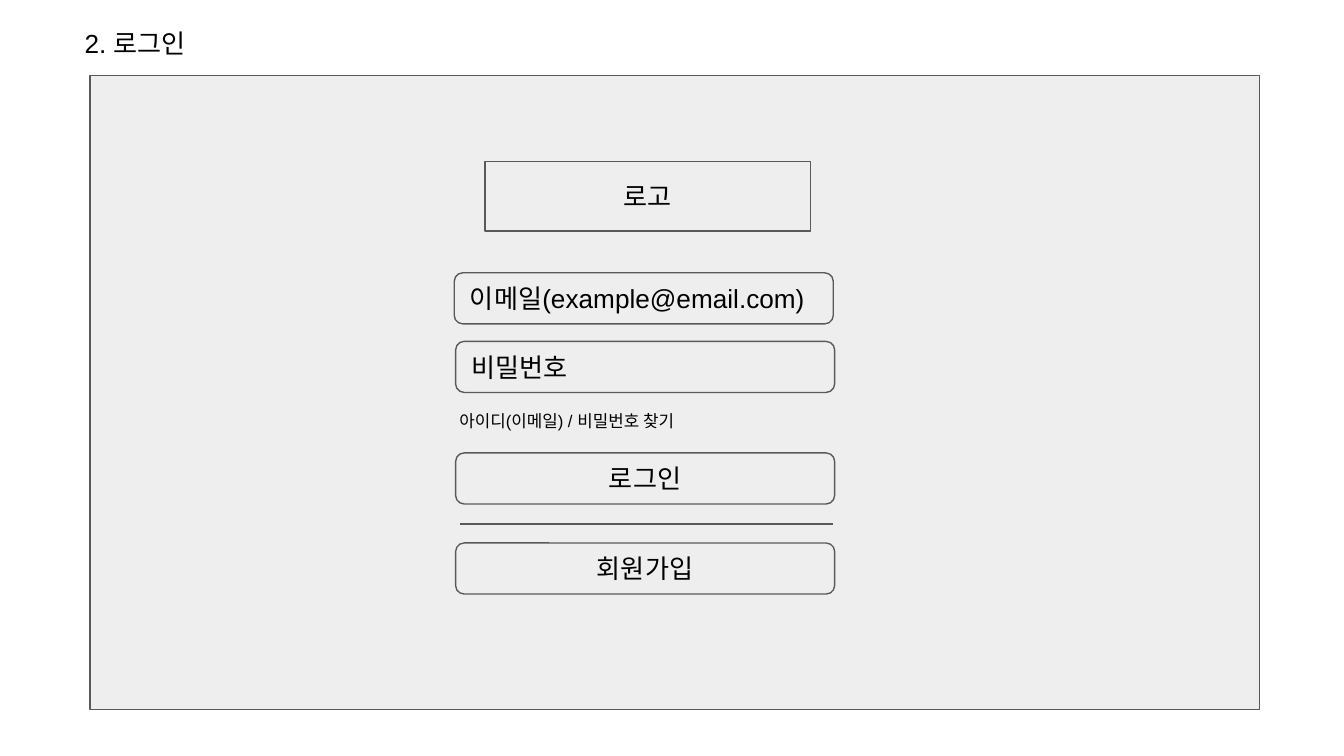
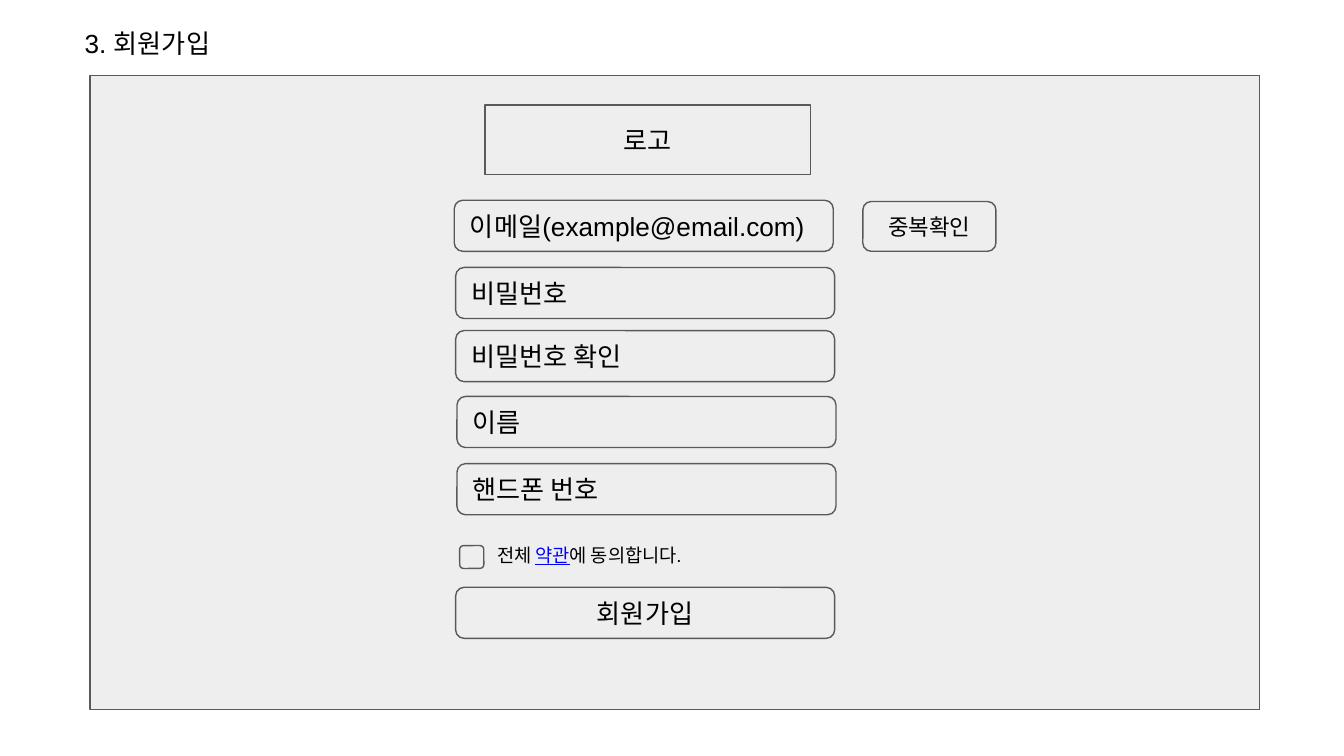
from lxml import etree
from pptx import Presentation
from pptx.dml.color import RGBColor
from pptx.enum.shapes import MSO_CONNECTOR, MSO_SHAPE
from pptx.enum.text import MSO_ANCHOR, MSO_AUTO_SIZE, PP_ALIGN
from pptx.oxml.ns import qn
from pptx.util import Inches, Pt

RECT = MSO_SHAPE.RECTANGLE
ROUND = MSO_SHAPE.ROUNDED_RECTANGLE
STRAIGHT = MSO_CONNECTOR.STRAIGHT
LEFT, CENTER = PP_ALIGN.LEFT, PP_ALIGN.CENTER
TOP, MIDDLE = MSO_ANCHOR.TOP, MSO_ANCHOR.MIDDLE
FIXED, GROW = MSO_AUTO_SIZE.NONE, MSO_AUTO_SIZE.SHAPE_TO_FIT_TEXT

COLORS = {"panel": "EEEEEE", "line": "595959", "text": "000000", "link": "0000FF"}
FONT = "Arial"
FIELD_X, FIELD_W, FIELD_H = 3.39, 2.82, 0.38
EMAIL = "이메일(example@email.com)"


def color(name):
    return RGBColor.from_string(COLORS[name])


def write(shape, *parts, size=14, align=LEFT, anchor=TOP, fit=FIXED, links=()):
    frame = shape.text_frame
    frame.word_wrap = True
    frame.auto_size = fit
    frame.vertical_anchor = anchor
    frame.margin_left = frame.margin_right = Inches(0.1)
    frame.margin_top = frame.margin_bottom = Inches(0.1)
    para = frame.paragraphs[0]
    para.alignment = align
    for part in parts:
        run = para.add_run()
        run.text = part
        font = run.font
        font.name, font.size = FONT, Pt(size)
        font.underline = part in links
        font.color.rgb = color("link" if part in links else "text")


def box(slide, x, y, w, h, kind=RECT):
    shape = slide.shapes.add_shape(kind, Inches(x), Inches(y), Inches(w), Inches(h))
    shape.shadow.inherit = False
    shape.fill.solid()
    shape.fill.fore_color.rgb = color("panel")
    shape.line.color.rgb = color("line")
    shape.line.width = Pt(0.75)
    return shape


def field(slide, text, y, x=FIELD_X, w=FIELD_W, h=FIELD_H, **style):
    write(box(slide, x, y, w, h, ROUND), text, anchor=MIDDLE, **style)


def button(slide, text, y, **style):
    field(slide, text, y, align=CENTER, **style)


def note(slide, parts, x, y, w, h, **style):
    label = slide.shapes.add_textbox(Inches(x), Inches(y), Inches(w), Inches(h))
    write(label, *parts, fit=GROW, **style)


def rule(slide, x, y, end):
    line = slide.shapes.add_connector(
        STRAIGHT, Inches(x), Inches(y), Inches(end), Inches(y))
    line.line.color.rgb = color("line")
    line.line.width = Pt(0.75)
    etree.SubElement(line._element.spPr, qn("a:effectLst"))


def screen(deck, title, logo_y):
    slide = deck.slides.add_slide(deck.slide_layouts[5])
    head = slide.shapes.title
    head.left, head.top = Inches(0.53), Inches(0.1)
    head.width, head.height = Inches(4.21), Inches(0.44)
    write(head, title, fit=GROW)
    box(slide, 0.67, 0.56, 8.7, 4.72)
    write(box(slide, 3.61, logo_y, 2.42, 0.52), "로고", align=CENTER, anchor=MIDDLE)
    return slide


def login(deck):
    slide = screen(deck, "2. 로그인", 1.2)
    field(slide, EMAIL, 2.03, x=3.38)
    field(slide, "비밀번호", 2.54)
    button(slide, "로그인", 3.37)
    note(slide, ["아이디(이메일) / 비밀번호 찾기"], 3.32, 2.98, 2.05, 0.35, size=9)
    button(slide, "회원가입", 4.04)
    rule(slide, 3.42, 3.9, 6.2)


def signup(deck):
    slide = screen(deck, "3. 회원가입", 0.78)
    rows = [
        (EMAIL, 3.38, 1.49),
        ("비밀번호", 3.39, 1.99),
        ("비밀번호 확인", 3.39, 2.46),
        ("이름", 3.4, 2.95),
        ("핸드폰 번호", 3.4, 3.45),
    ]
    for text, x, y in rows:
        field(slide, text, y, x=x)
    button(slide, "중복확인", 1.5, x=6.42, w=0.99, h=0.37, size=12)
    check = box(slide, 3.42, 4.06, 0.18, 0.17, ROUND)
    check.rotation = 359.8
    note(slide, ["전체 ", "약관", "에 동의합니다."], 3.6, 3.96, 2.39, 0.37,
         size=10, links=("약관",))
    button(slide, "회원가입", 4.37)


def main():
    deck = Presentation()
    deck.slide_width = Inches(10)
    deck.slide_height = deck.slide_width * 9 // 16
    login(deck)
    signup(deck)
    deck.save("out.pptx")


if __name__ == "__main__":
    main()
